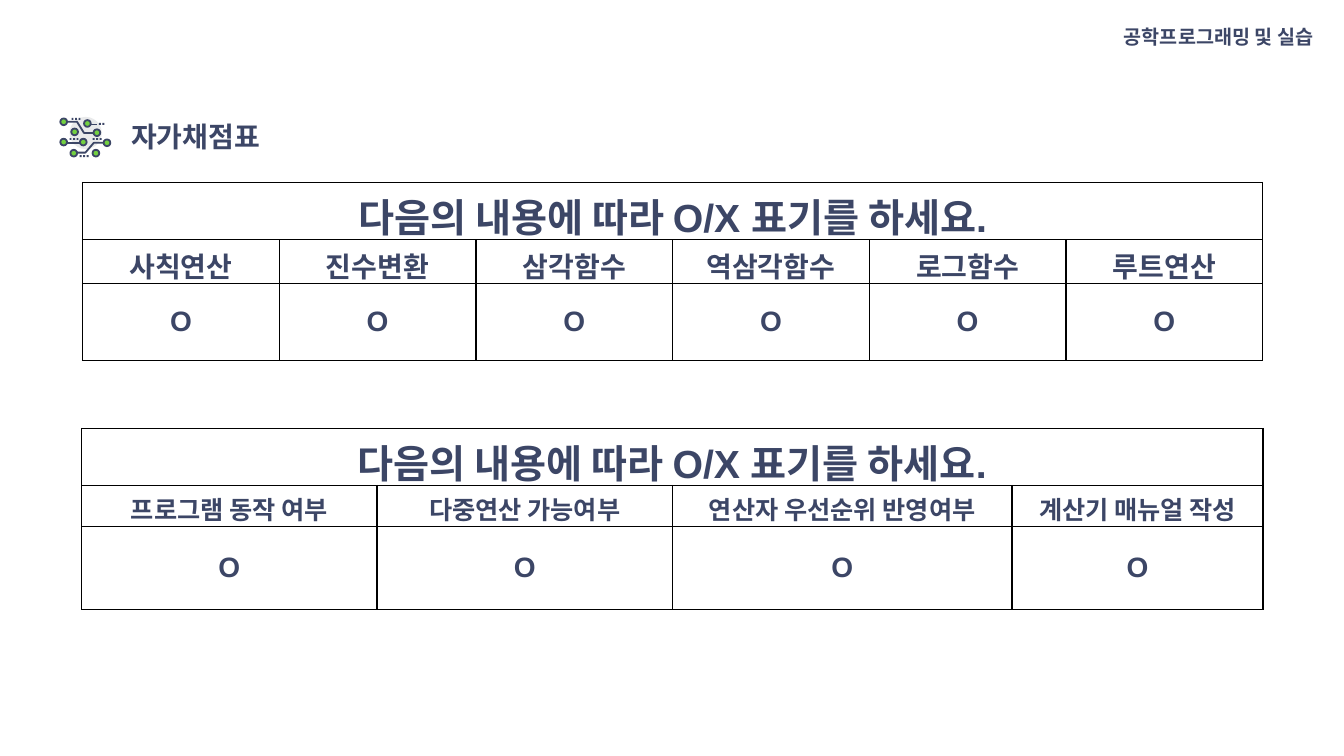
from lxml.etree import SubElement
from pptx import Presentation
from pptx.dml.color import RGBColor
from pptx.enum.shapes import MSO_SHAPE as Shape
from pptx.enum.text import MSO_ANCHOR as Anchor, MSO_AUTO_SIZE as AutoSize, PP_ALIGN as Align
from pptx.oxml.ns import qn
from pptx.util import Pt

NAVY, GREEN, GREY, BLACK = "3C4666", "73D040", "E9EAEB", "000000"
COURSE = "공학프로그래밍 및 실습"
HEADING = "자가채점표"
PROMPT = "다음의 내용에 따라 O/X 표기를 하세요."
CHECKLISTS = [
    {"items": ["사칙연산", "진수변환", "삼각함수", "역삼각함수", "로그함수", "루트연산"],
     "left": 59, "top": 130.3, "widths": [140.5] * 6, "heights": [29.5, 29.5, 55.4],
     "item_size": 20},
    {"items": ["프로그램 동작 여부", "다중연산 가능여부", "연산자 우선순위 반영여부", "계산기 매뉴얼 작성"],
     "left": 58.3, "top": 306, "widths": [211, 211, 242.6, 179.3], "heights": [29.5, 29.5, 59],
     "item_size": 18},
]
MARK = "O"

# Circuit icon, in points on the slide
TRACES = [
    [(46, 101.5), (59, 101.5)],
    [(45.4, 87.1), (54.7, 87.1), (60.5, 95), (69.1, 95)],
    [(52.6, 109.4), (60.8, 109.4), (67, 102.2), (76.3, 102.2)],
    [(63.4, 88.6), (69.1, 88.6)],
]
DOT_ROWS = [(70.6, 87.8, 2), (56.9, 110.9, 3), (49.7, 98.6, 3), (66.2, 98.6, 3), (51.1, 84.2, 3)]
NODES = [(52.7, 109.4), (68.5, 109.4), (76.4, 102), (59.5, 101.5), (53.3, 94.2),
         (69.2, 94.8), (62.4, 88.2), (45.5, 87), (45.5, 101.5)]
NODE, DOT, DOT_STEP, STROKE = 4.8, 1.4, 2.5, 1.3


def color(value):
    return RGBColor.from_string(value)


def write(frame, text, size, align):
    frame.text = text
    paragraph = frame.paragraphs[0]
    paragraph.alignment = align
    font = paragraph.runs[0].font
    font.name, font.size, font.bold = "Arial", Pt(size), True
    font.color.rgb = color(NAVY)
    return paragraph


def paint(shape, fill=None, line=None):
    shape.shadow.inherit = False
    if fill:
        shape.fill.solid()
        shape.fill.fore_color.rgb = color(fill)
    else:
        shape.fill.background()
    if line:
        shape.line.color.rgb = color(line)
        shape.line.width = Pt(STROKE)
    else:
        shape.line.fill.background()


def draw_icon(shapes):
    def add(kind, x, y, size):
        return shapes.add_shape(kind, Pt(x), Pt(y), Pt(size), Pt(size))

    paint(add(Shape.OVAL, 49.7, 83.5, 23), GREY)
    for start, *rest in TRACES:
        builder = shapes.build_freeform(*start, scale=Pt(1))
        builder.add_line_segments(rest, close=False)
        paint(builder.convert_to_shape(), line=NAVY)
    for x, y, count in DOT_ROWS:
        for i in range(count):
            paint(add(Shape.RECTANGLE, x + i * DOT_STEP, y, DOT), NAVY)
    for x, y in NODES:
        paint(add(Shape.OVAL, x - NODE / 2, y - NODE / 2, NODE), GREEN, NAVY)


def outline(cell):
    """Give the cell a thin black border on all four sides and no fill."""
    properties = cell._tc.get_or_add_tcPr()
    for side in ("a:lnL", "a:lnR", "a:lnT", "a:lnB"):
        border = SubElement(properties, qn(side), w=str(Pt(1)))
        fill = SubElement(border, qn("a:solidFill"))
        SubElement(fill, qn("a:srgbClr"), val=BLACK)
    cell.fill.background()


def add_checklist(shapes, items, left, top, widths, heights, item_size):
    frame = shapes.add_table(len(heights), len(items), Pt(left), Pt(top),
                             Pt(sum(widths)), Pt(sum(heights)))
    table = frame.table
    table.first_row = table.horz_banding = False
    for column, width in zip(table.columns, widths):
        column.width = Pt(width)
    for row, height in zip(table.rows, heights):
        row.height = Pt(height)
    for cell in table.iter_cells():
        cell.vertical_anchor = Anchor.MIDDLE
        outline(cell)
    table.cell(0, 0).merge(table.cell(0, len(items) - 1))
    write(table.cell(0, 0).text_frame, PROMPT, 28, Align.CENTER)
    for i, item in enumerate(items):
        write(table.cell(1, i).text_frame, item, item_size, Align.CENTER)
        write(table.cell(2, i).text_frame, MARK, 20, Align.CENTER)


def main():
    deck = Presentation()
    deck.slide_width, deck.slide_height = Pt(960), Pt(540)
    slide = deck.slides.add_slide(deck.slide_layouts[5])

    course = slide.shapes.add_textbox(Pt(781.2), Pt(5.8), Pt(178.6), Pt(29.5)).text_frame
    course.word_wrap = True
    write(course, COURSE, 14, Align.CENTER).line_spacing = 1.5

    heading = slide.shapes.title
    heading.left, heading.top, heading.width, heading.height = Pt(86.4), Pt(81.4), Pt(115.2), Pt(31.7)
    heading.text_frame.word_wrap = False
    heading.text_frame.auto_size = AutoSize.NONE
    heading.text_frame.vertical_anchor = Anchor.TOP
    write(heading.text_frame, HEADING, 20, Align.LEFT)

    draw_icon(slide.shapes.add_group_shape().shapes)
    for checklist in CHECKLISTS:
        add_checklist(slide.shapes, **checklist)
    deck.save("out.pptx")


if __name__ == "__main__":
    main()
